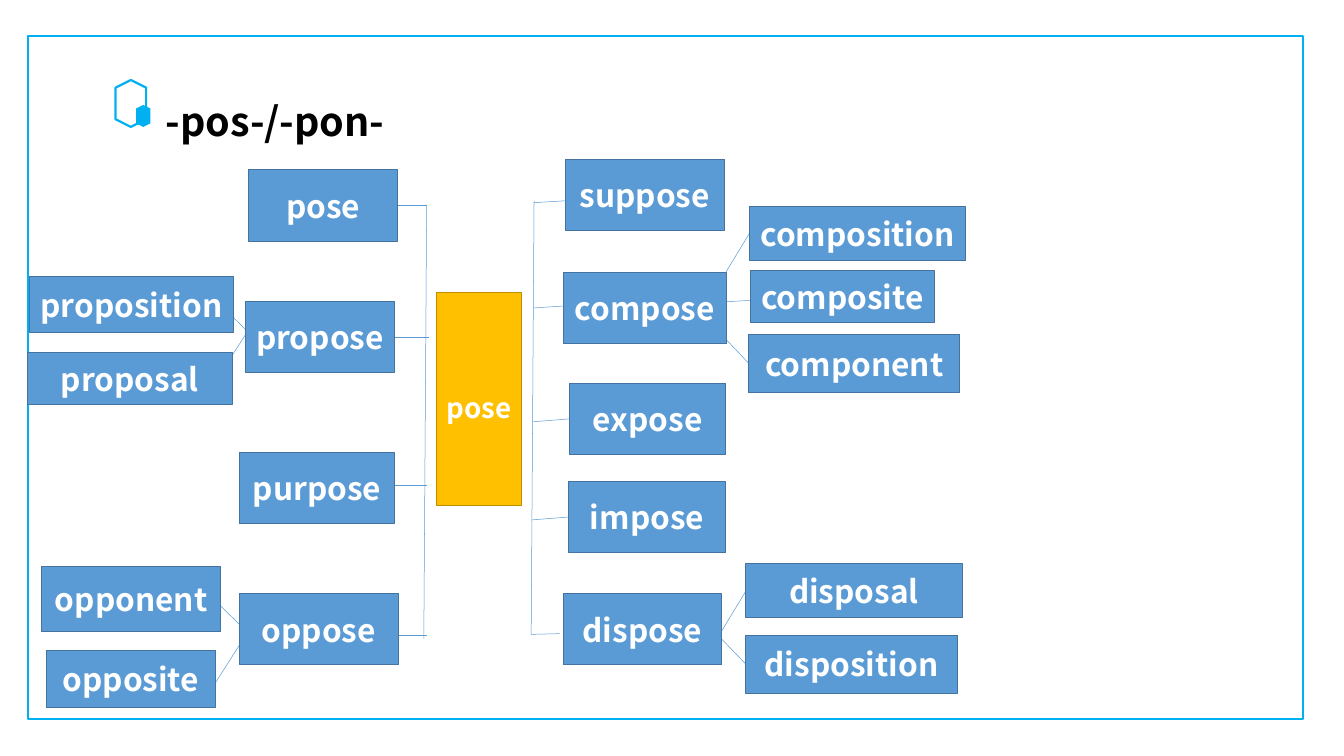
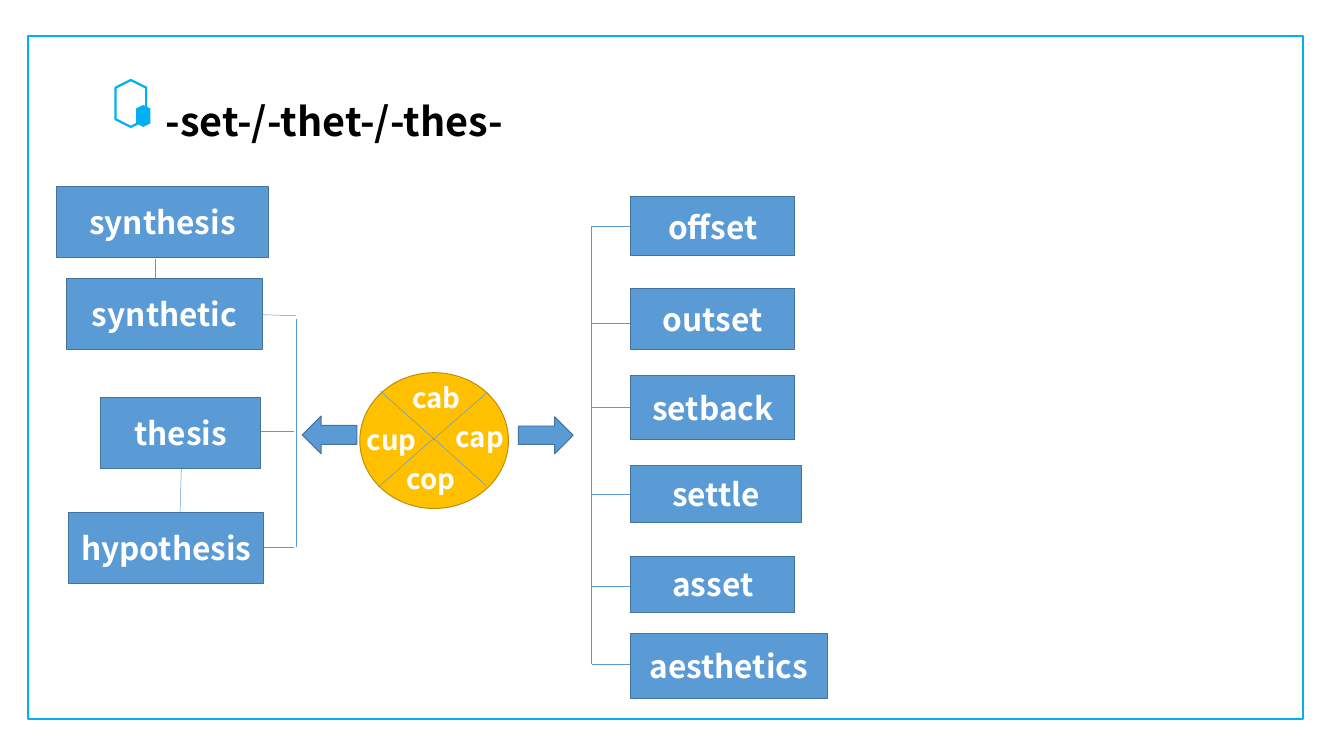
import pptx
import pptx.dml.color
import pptx.enum.shapes
import pptx.enum.text
import pptx.oxml
import pptx.util

PX = 9144  # 100 px to the inch
FONT = "Noto Sans CJK SC"
BLUE, BLUE_EDGE = "5B9BD5", "43739E"
GOLD, GOLD_EDGE = "FFC000", "BD8E00"
CYAN, WHITE, BLACK = "00B0F0", "FFFFFF", "000000"
SHAPE = pptx.enum.shapes.MSO_SHAPE
CENTER = pptx.enum.text.PP_ALIGN.CENTER

POSE_WORDS = [
    ("pose", 350, 239, 209, 100),
    ("propose", 345, 424, 210, 100),
    ("purpose", 337, 636, 218, 100),
    ("oppose", 337, 835, 223, 100),
    ("suppose", 795, 224, 224, 100),
    ("compose", 793, 383, 228, 100),
    ("expose", 801, 539, 220, 100),
    ("impose", 800, 677, 220, 100),
    ("dispose", 792, 835, 223, 100),
    ("proposition", 42, 389, 286, 78),
    ("proposal", 38, 496, 289, 73),
    ("opponent", 59, 796, 251, 92),
    ("opposite", 65, 914, 238, 81),
    ("composition", 1054, 291, 304, 75),
    ("composite", 1055, 381, 259, 72),
    ("component", 1053, 470, 297, 82),
    ("disposal", 1049, 793, 304, 75),
    ("disposition", 1049, 893, 297, 82),
]
POSE_TRUNKS = [
    (600, 288, 596, 898), (547, 289, 601, 289), (544, 474, 604, 474),
    (548, 683, 601, 683), (560, 893, 601, 893),
    (751, 282, 747, 892), (750, 285, 801, 282), (751, 433, 797, 430),
    (750, 593, 801, 589), (748, 731, 800, 727), (747, 892, 787, 891),
]
POSE_TWIGS = [
    (296, 415, 345, 463), (303, 536, 345, 471),
    (300, 842, 349, 890), (303, 960, 345, 894),
    (1006, 407, 1054, 328), (1009, 425, 1061, 422), (999, 454, 1053, 511),
    (1001, 910, 1049, 831), (994, 877, 1049, 934),
]

THESIS_WORDS = [
    ("synthesis", 79, 262, 299, 100),
    ("synthetic", 94, 391, 275, 100),
    ("thesis", 141, 559, 226, 100),
    ("hypothesis", 97, 721, 274, 100),
]
SET_WORDS = [
    ("offset", 887, 277, 231, 83),
    ("outset", 887, 405, 231, 86),
    ("setback", 887, 528, 231, 90),
    ("settle", 887, 655, 240, 80),
    ("asset", 887, 782, 231, 79),
    ("aesthetics", 886, 891, 278, 91),
]
THESIS_LINES = [
    (416, 448, 416, 769), (354, 442, 416, 444), (355, 606, 414, 606),
    (365, 770, 414, 770), (218, 364, 218, 416), (253, 728, 255, 659),
]
SET_SPINE_X = 832
SET_TICKS_Y = [318, 455, 573, 695, 825, 934]
WHEEL_SPOKES = [
    (608, 615, 684, 683), (608, 619, 685, 552),
    (532, 685, 608, 618), (535, 550, 611, 618),
]
WHEEL_LABELS = [
    ("cup", 506, 590, 95, 57),
    ("cap", 631, 586, 93, 57),
    ("cab", 570, 531, 93, 57),
    ("cop", 562, 645, 93, 57),
]


def emu(*lengths):
    return [pptx.util.Emu(n * PX) for n in lengths]


def rgb(color):
    return pptx.dml.color.RGBColor.from_string(color)


def style_text(tf, text, size, color):
    tf.text = text
    font = tf.paragraphs[0].runs[0].font
    font.name, font.size, font.bold = FONT, pptx.util.Pt(size), True
    font.color.rgb = rgb(color)


def add_preset(slide, kind, box, fill=None, line=None, width=1):
    """Add a shadowless preset shape; None leaves out its fill or outline."""
    sp = slide.shapes.add_shape(kind, *emu(*box))
    sp.shadow.inherit = False
    if fill:
        sp.fill.solid()
        sp.fill.fore_color.rgb = rgb(fill)
    else:
        sp.fill.background()
    if line:
        sp.line.color.rgb = rgb(line)
        sp.line.width = pptx.util.Pt(width)
    else:
        sp.line.fill.background()
    return sp


def add_box(slide, text, box, fill=BLUE, line=BLUE_EDGE, size=32):
    sp = add_preset(slide, SHAPE.RECTANGLE, box, fill, line)
    tf = sp.text_frame
    tf.word_wrap = True
    tf.vertical_anchor = pptx.enum.text.MSO_ANCHOR.MIDDLE
    style_text(tf, text, size, WHITE)
    tf.paragraphs[0].alignment = CENTER
    return sp


def add_words(slide, words):
    for word, *box in words:
        add_box(slide, word, box)


def add_label(slide, text, box, size, color, wrap):
    tf = slide.shapes.add_textbox(*emu(*box)).text_frame
    tf.word_wrap = wrap
    tf.auto_size = pptx.enum.text.MSO_AUTO_SIZE.SHAPE_TO_FIT_TEXT
    style_text(tf, text, size, color)


def add_lines(slide, lines):
    for ends in lines:
        cxn = slide.shapes.add_connector(
            pptx.enum.shapes.MSO_CONNECTOR.STRAIGHT, *emu(*ends))
        cxn.line.color.rgb = rgb(BLUE)
        cxn.line.width = pptx.util.Pt(0.5)
        effects = pptx.oxml.parse_xml(
            '<a:effectLst xmlns:a='
            '"http://schemas.openxmlformats.org/drawingml/2006/main"/>')
        cxn._element.spPr.append(effects)


def add_framed_slide(prs, title, title_width):
    """Add a slide with the shared frame, hexagon mark and title."""
    slide = prs.slides.add_slide(prs.slide_layouts[6])
    add_preset(slide, SHAPE.RECTANGLE, (39, 51, 1793, 960), None, CYAN, 2.25)
    outer = add_preset(slide, SHAPE.HEXAGON, (151, 124, 66, 43), None, CYAN, 2.25)
    inner = add_preset(slide, SHAPE.HEXAGON, (186, 153, 31, 20), CYAN)
    outer.rotation = inner.rotation = 90
    add_label(slide, title, (223, 132, title_width, 77), 40, BLACK, False)
    return slide


def build_pose_slide(prs):
    slide = add_framed_slide(prs, "-pos-/-pon-", 357)
    add_lines(slide, POSE_TRUNKS + POSE_TWIGS)
    add_words(slide, POSE_WORDS)
    root = add_box(slide, "pose", (614, 411, 120, 300), GOLD, GOLD_EDGE, 28)
    root.text_frame.paragraphs[0].line_spacing = 1.5


def build_set_slide(prs):
    slide = add_framed_slide(prs, "-set-/-thet-/-thes-", 551)
    spine = (SET_SPINE_X, SET_TICKS_Y[0], SET_SPINE_X, SET_TICKS_Y[-1])
    ticks = [(SET_SPINE_X, y, SET_SPINE_X + 54, y) for y in SET_TICKS_Y]
    add_lines(slide, THESIS_LINES + [spine] + ticks)
    add_words(slide, THESIS_WORDS + SET_WORDS)
    add_preset(slide, SHAPE.RIGHT_ARROW, (729, 586, 77, 52), BLUE, BLUE_EDGE)
    add_preset(slide, SHAPE.LEFT_ARROW, (425, 585, 77, 53), BLUE, BLUE_EDGE)
    add_preset(slide, SHAPE.FLOWCHART_CONNECTOR, (506, 524, 209, 191),
               GOLD, GOLD_EDGE)
    add_lines(slide, WHEEL_SPOKES)
    for text, *box in WHEEL_LABELS:
        add_label(slide, text, box, 28, WHITE, True)


def main():
    prs = pptx.Presentation()
    prs.slide_width, prs.slide_height = emu(1890, 1063)
    build_pose_slide(prs)
    build_set_slide(prs)
    prs.save("out.pptx")


if __name__ == "__main__":
    main()
